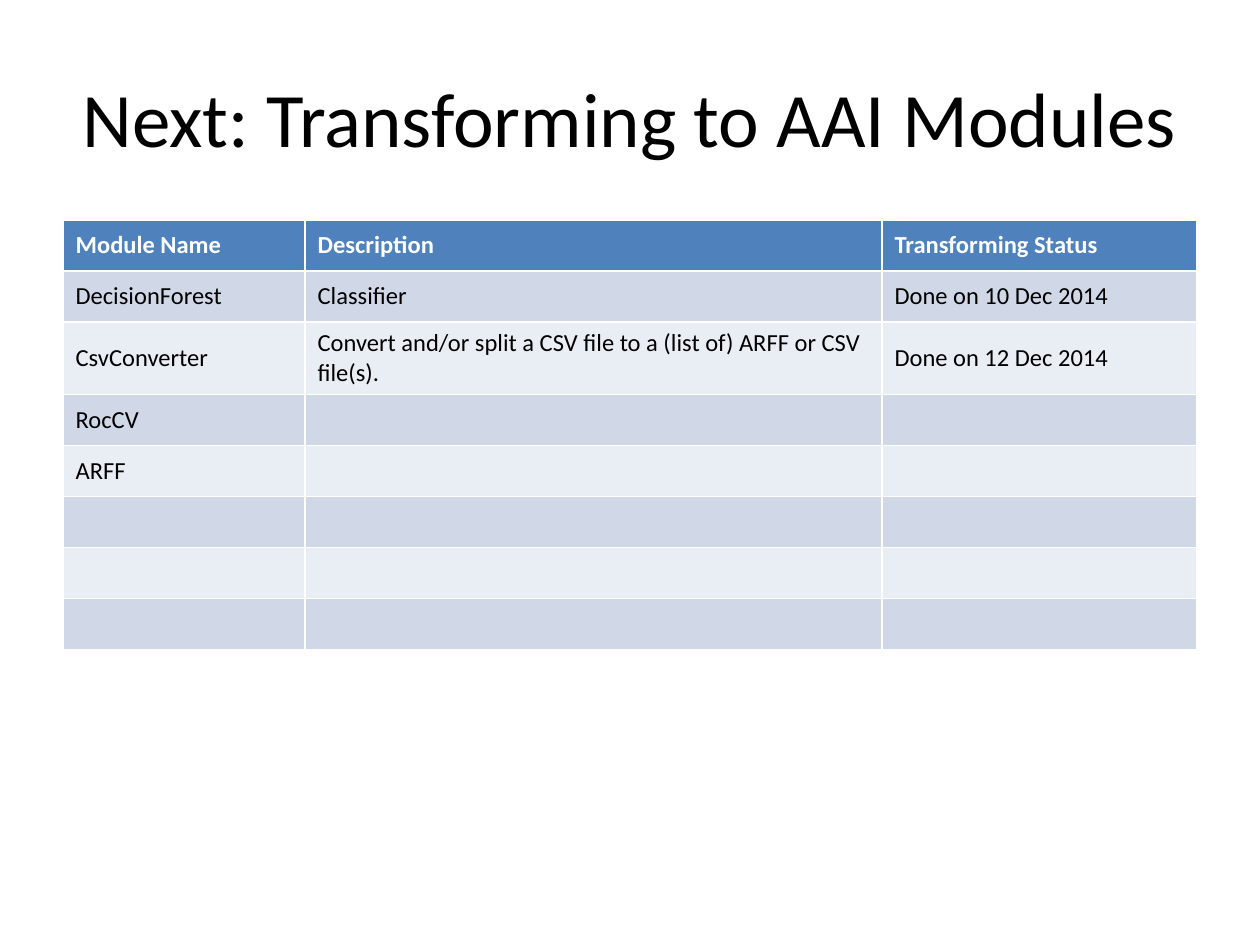
from pptx import Presentation
from pptx import util as u
from pptx.dml.color import RGBColor
from pptx.enum import text

TITLE = "Next: Transforming to AAI Modules"
HEADER = ("Module Name", "Description", "Transforming Status")
MODULES = [
    ("DecisionForest", "Classifier", "Done on 10 Dec 2014"),
    ("CsvConverter",
     "Convert and/or split a CSV file to a (list of) ARFF or CSV file(s).",
     "Done on 12 Dec 2014"),
    ("RocCV", "", ""),
    ("ARFF", "", ""),
]
EMPTY_ROWS = 3

FONT = "Calibri"
BLACK = RGBColor(0x00, 0x00, 0x00)
WHITE = RGBColor(0xFF, 0xFF, 0xFF)
HEADER_BLUE = RGBColor(0x4F, 0x81, 0xBD)
BANDS = (RGBColor(0xD0, 0xD8, 0xE8), RGBColor(0xE9, 0xED, 0xF4))

SLIDE_SIZE = (1260, 945)
TITLE_BOX = (63, 38, 1134, 157)
TABLE_LEFT, TABLE_TOP = 63, 220
COLUMN_WIDTHS = (242, 577, 315)
ROW_HEIGHT = 51


def px(pixels):
    """Convert pixels at 126 to the inch into EMU."""
    return u.Emu(round(pixels * 914400 / 126))


def format_text(frame, size, color, bold=False):
    """Centre a text frame vertically and format its runs."""
    frame.vertical_anchor = text.MSO_ANCHOR.MIDDLE
    for paragraph in frame.paragraphs:
        for run in paragraph.runs:
            run.font.name = FONT
            run.font.size = u.Pt(size)
            run.font.bold = bold
            run.font.color.rgb = color


def add_title(slide):
    """Place and format the title placeholder."""
    title = slide.shapes.title
    title.left, title.top, title.width, title.height = map(px, TITLE_BOX)
    title.text_frame.text = TITLE
    title.text_frame.paragraphs[0].alignment = text.PP_ALIGN.CENTER
    format_text(title.text_frame, 44, BLACK)


def add_module_table(slide):
    """Add the module table with a blue header and banded rows."""
    rows = [HEADER, *MODULES] + [("",) * len(HEADER)] * EMPTY_ROWS
    table = slide.shapes.add_table(
        len(rows), len(HEADER), px(TABLE_LEFT), px(TABLE_TOP),
        px(sum(COLUMN_WIDTHS)), px(ROW_HEIGHT * len(rows))).table
    for column, width in zip(table.columns, COLUMN_WIDTHS):
        column.width = px(width)
    for r, values in enumerate(rows):
        is_header = r == 0
        table.rows[r].height = px(ROW_HEIGHT)
        for c, value in enumerate(values):
            cell = table.cell(r, c)
            cell.fill.solid()
            cell.fill.fore_color.rgb = HEADER_BLUE if is_header else BANDS[(r - 1) % 2]
            cell.vertical_anchor = text.MSO_ANCHOR.MIDDLE
            if value:
                cell.text_frame.text = value
                format_text(cell.text_frame, 14, WHITE if is_header else BLACK, is_header)
                cell.vertical_anchor = text.MSO_ANCHOR.MIDDLE


def main():
    """Build the slide and save it."""
    presentation = Presentation()
    presentation.slide_width, presentation.slide_height = map(px, SLIDE_SIZE)
    slide = presentation.slides.add_slide(presentation.slide_layouts[5])
    add_title(slide)
    add_module_table(slide)
    presentation.save("out.pptx")


main()
